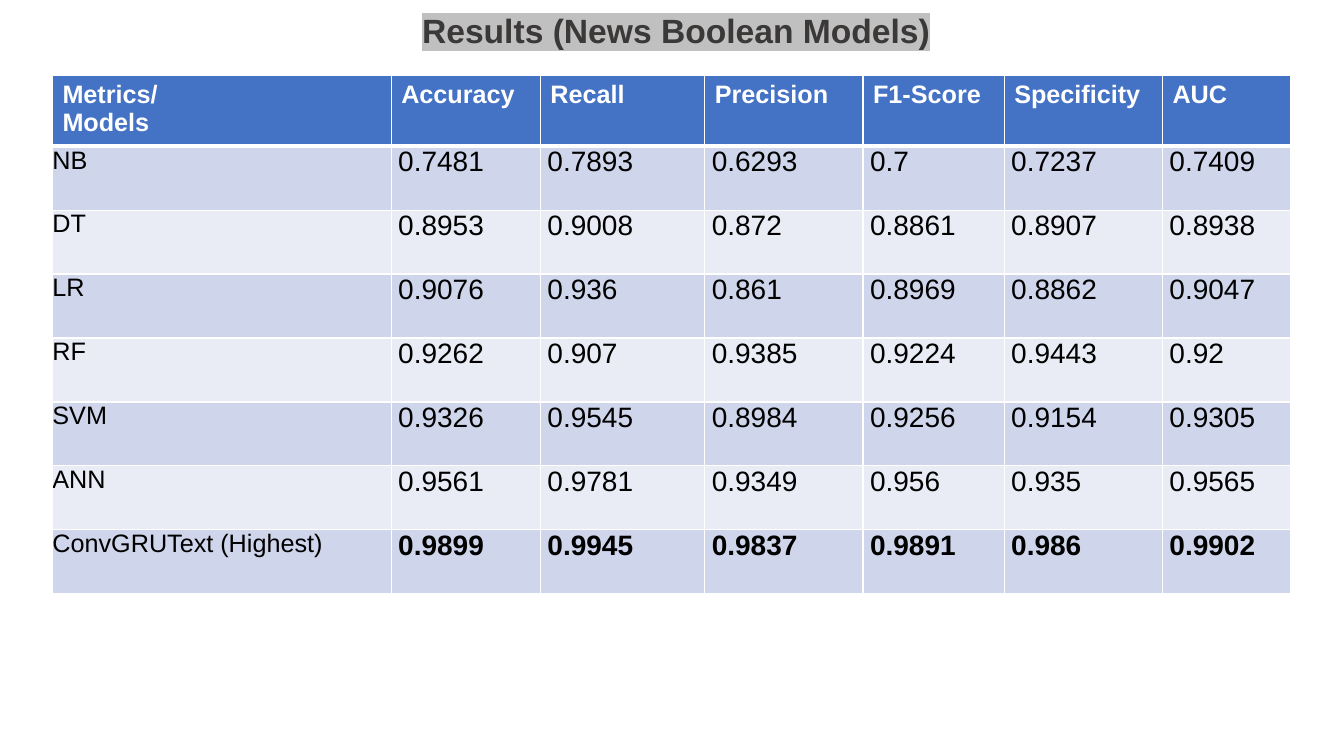
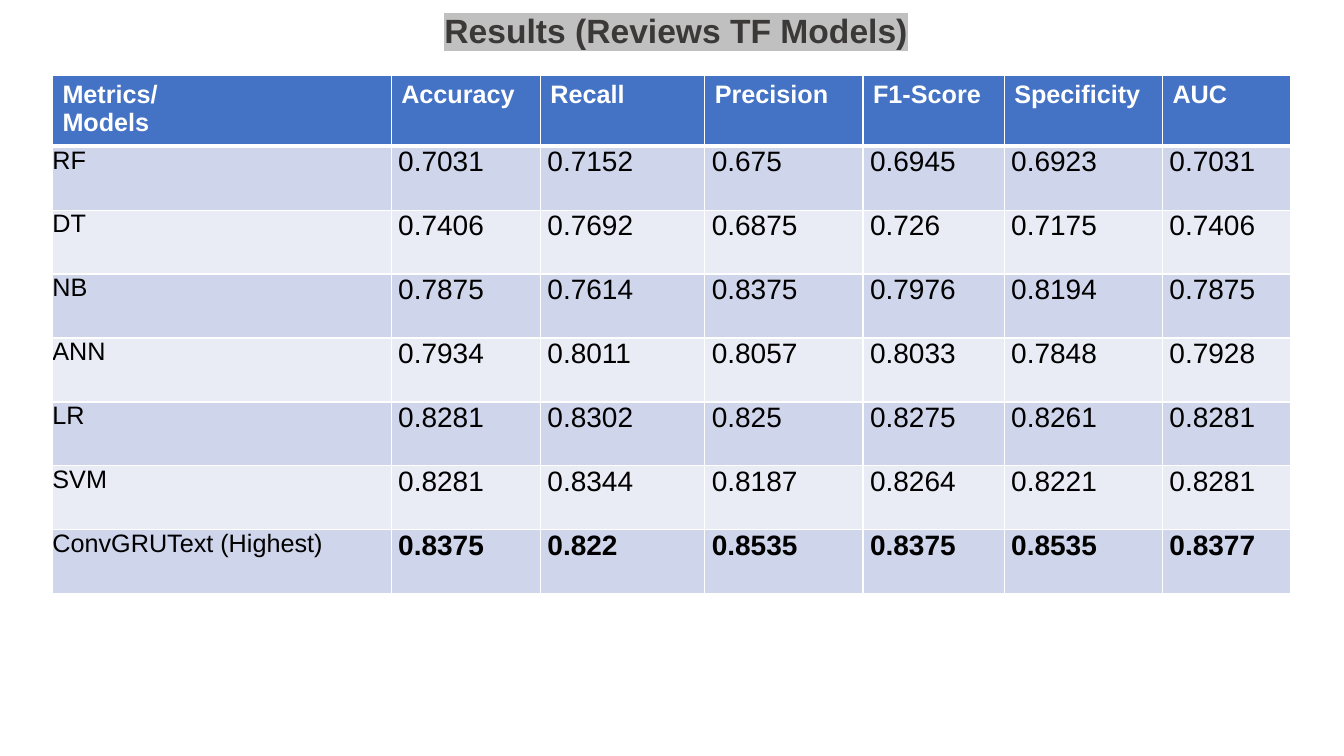
from lxml import etree
from pptx import Presentation
from pptx.dml.color import RGBColor
from pptx.enum import text
from pptx.oxml.ns import qn
from pptx.util import Inches, Pt

# Content
HEADERS = ["Metrics/\nModels", "Accuracy", "Recall", "Precision", "F1-Score", "Specificity", "AUC"]
RESULTS = [
    ("Results (News Boolean Models)", [
        ("NB", "0.7481", "0.7893", "0.6293", "0.7", "0.7237", "0.7409"),
        ("DT", "0.8953", "0.9008", "0.872", "0.8861", "0.8907", "0.8938"),
        ("LR", "0.9076", "0.936", "0.861", "0.8969", "0.8862", "0.9047"),
        ("RF", "0.9262", "0.907", "0.9385", "0.9224", "0.9443", "0.92"),
        ("SVM", "0.9326", "0.9545", "0.8984", "0.9256", "0.9154", "0.9305"),
        ("ANN", "0.9561", "0.9781", "0.9349", "0.956", "0.935", "0.9565"),
        ("ConvGRUText (Highest)", "0.9899", "0.9945", "0.9837", "0.9891", "0.986", "0.9902"),
    ]),
    ("Results (Reviews TF Models)", [
        ("RF", "0.7031", "0.7152", "0.675", "0.6945", "0.6923", "0.7031"),
        ("DT", "0.7406", "0.7692", "0.6875", "0.726", "0.7175", "0.7406"),
        ("NB", "0.7875", "0.7614", "0.8375", "0.7976", "0.8194", "0.7875"),
        ("ANN", "0.7934", "0.8011", "0.8057", "0.8033", "0.7848", "0.7928"),
        ("LR", "0.8281", "0.8302", "0.825", "0.8275", "0.8261", "0.8281"),
        ("SVM", "0.8281", "0.8344", "0.8187", "0.8264", "0.8221", "0.8281"),
        ("ConvGRUText (Highest)", "0.8375", "0.822", "0.8535", "0.8375", "0.8535", "0.8377"),
    ]),
]

# Shared style
FONT = "Arial"
WHITE, BLACK, TITLE, HIGHLIGHT = "FFFFFF", "000000", "3B3838", "C0C0C0"
HEADER_FILL, BAND_FILLS = "4472C4", ("CFD5EA", "E9EBF5")
COLUMN_WIDTHS = [3.36, 1.48, 1.63, 1.57, 1.4, 1.57, 1.27]
TABLE_LEFT, TABLE_TOP, TABLE_HEIGHT, HEADER_HEIGHT = 0.52, 0.75, 5.09, 0.65


def color(value):
    return RGBColor.from_string(value)


def style(target, **values):
    for name, value in values.items():
        setattr(target, name, value)


def write(para, words, size, ink, bold):
    span = para.add_run()
    span.text = words
    style(span.font, name=FONT, size=Pt(size), bold=bold)
    span.font.color.rgb = color(ink)
    return span


def add_borders(cell, top, bottom):
    properties = cell._tc.get_or_add_tcPr()
    widths = {"lnL": 1, "lnR": 1, "lnT": top, "lnB": bottom}
    for place, (edge, width) in enumerate(widths.items()):
        line = etree.Element(qn(f"a:{edge}"), w=str(Pt(width)))
        fill = etree.SubElement(line, qn("a:solidFill"))
        etree.SubElement(fill, qn("a:srgbClr"), val=WHITE)
        properties.insert(place, line)


def add_title(page, words):
    box = page.shapes.add_textbox(Inches(0.33), Inches(0.05), Inches(12.75), Inches(0.48))
    box.text_frame.word_wrap = True
    para = box.text_frame.paragraphs[0]
    para.alignment = text.PP_ALIGN.CENTER
    span = write(para, words, 24, TITLE, True)
    highlight = etree.Element(qn("a:highlight"))
    etree.SubElement(highlight, qn("a:srgbClr"), val=HIGHLIGHT)
    span.font._element.find(qn("a:solidFill")).addnext(highlight)


def fill_header(cell, words):
    cell.fill.fore_color.rgb = color(HEADER_FILL)
    frame = cell.text_frame
    for i, line in enumerate(words.split("\n")):
        para = frame.add_paragraph() if i else frame.paragraphs[0]
        write(para, line, 18, WHITE, True)


def fill_body(cell, words, row, is_label, is_best):
    cell.fill.fore_color.rgb = color(BAND_FILLS[(row - 1) % 2])
    side = Inches(0 if is_label else 0.07)
    style(cell, margin_left=side, margin_right=side, margin_top=0, margin_bottom=0)
    para = cell.text_frame.paragraphs[0]
    style(para, alignment=text.PP_ALIGN.JUSTIFY, space_after=Pt(6))
    write(para, words, 18 if is_label else 20, BLACK, is_best and not is_label)


def add_results(page, rows):
    lines = [HEADERS, *rows]
    table = page.shapes.add_table(
        len(lines), len(HEADERS), Inches(TABLE_LEFT), Inches(TABLE_TOP),
        Inches(sum(COLUMN_WIDTHS)), Inches(TABLE_HEIGHT)).table
    for column, width in zip(table.columns, COLUMN_WIDTHS):
        column.width = Inches(width)
    body_height = (TABLE_HEIGHT - HEADER_HEIGHT) / len(rows)
    for r, line in enumerate(lines):
        table.rows[r].height = Inches(body_height if r else HEADER_HEIGHT)
        for c, words in enumerate(line):
            cell = table.cell(r, c)
            cell.fill.solid()
            if r == 0:
                fill_header(cell, words)
            else:
                fill_body(cell, words, r, c == 0, r == len(rows))
            # Heavy rule between header and body
            add_borders(cell, top=3 if r == 1 else 1, bottom=3 if r == 0 else 1)


def main():
    deck = Presentation()
    style(deck, slide_width=Inches(13.33), slide_height=Inches(7.5))
    for title, rows in RESULTS:
        page = deck.slides.add_slide(deck.slide_layouts[6])
        add_title(page, title)
        add_results(page, rows)
    deck.save("out.pptx")


if __name__ == "__main__":
    main()
